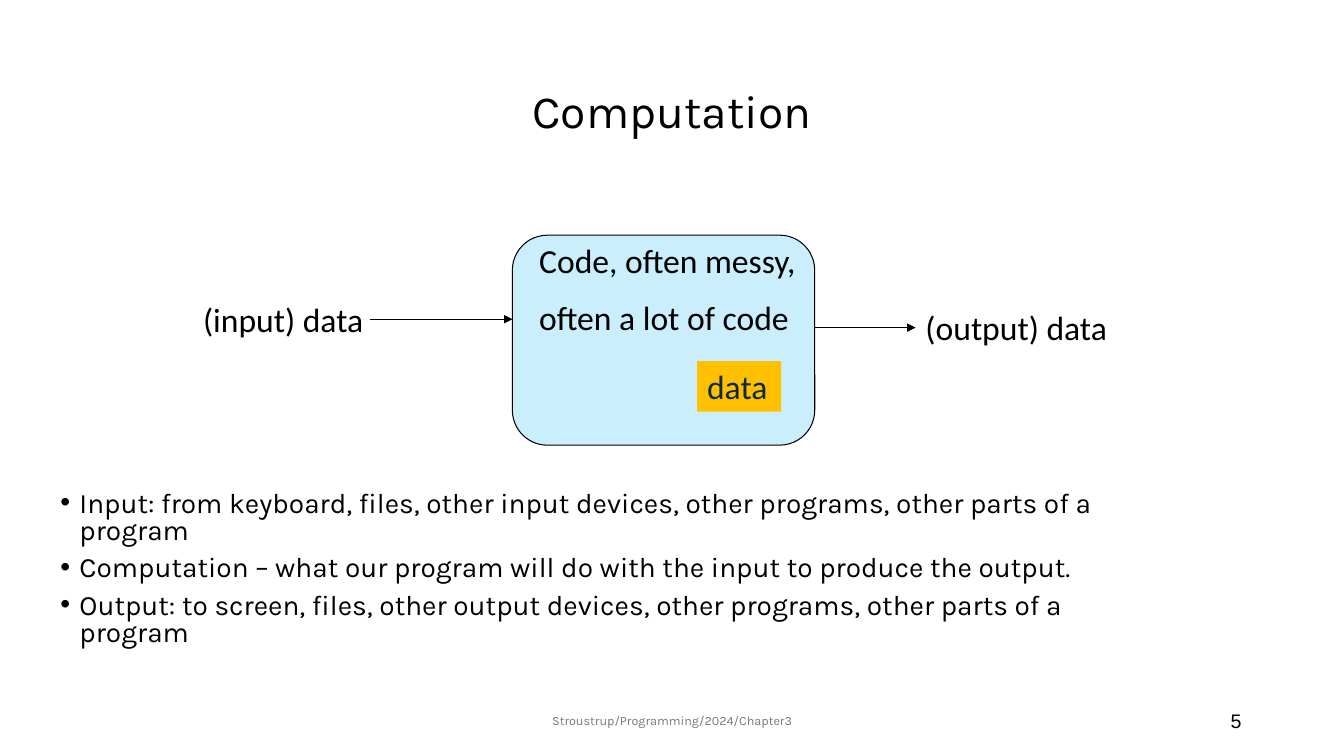
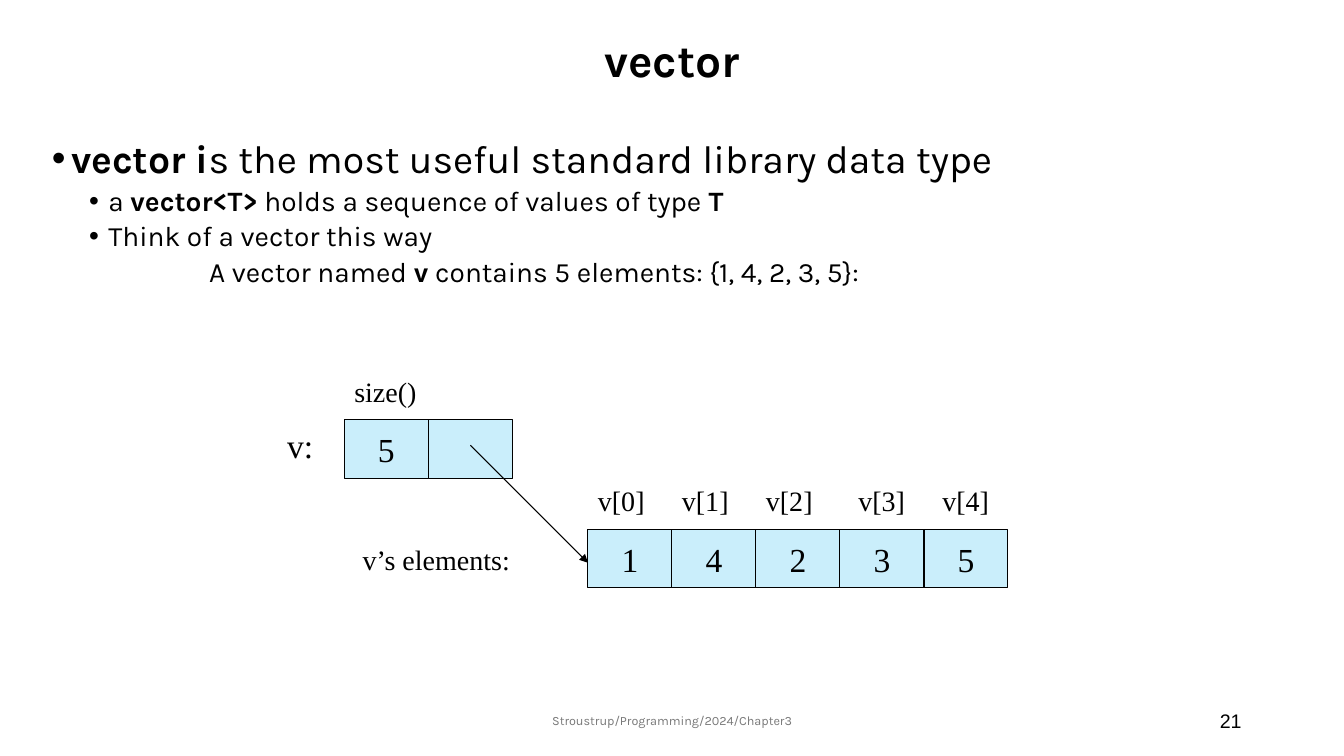
import pptx
import pptx.util
import pptx.dml.color
import pptx.enum.shapes
import pptx.enum.text
import pptx.oxml
import pptx.oxml.ns

Pt = pptx.util.Pt
RGBColor = pptx.dml.color.RGBColor
SHAPE = pptx.enum.shapes.MSO_SHAPE
STRAIGHT = pptx.enum.shapes.MSO_CONNECTOR.STRAIGHT
ALIGN = pptx.enum.text.PP_ALIGN
ANCHOR = pptx.enum.text.MSO_ANCHOR

BLACK = RGBColor(0x00, 0x00, 0x00)
GREY = RGBColor(0x79, 0x79, 0x79)
NAVY = RGBColor(0x0E, 0x28, 0x41)
SKY = RGBColor(0xCA, 0xEE, 0xFB)
AMBER = RGBColor(0xFF, 0xC0, 0x00)
KARLA, CALIBRI, TIMES, ARIAL = "Karla", "Calibri", "Times New Roman", "Arial"

# The slide is a grid of 160 columns and 90 rows, twelve to the inch
COLS, ROWS = 160, 90
FOOTER = "Stroustrup/Programming/2024/Chapter3"
FOOTER_BOX = (53, 83.4, 54, 4.8)
NUMBER_BOX = (113, 83.4, 36, 4.8)

# Paragraphs are lists of (text, bold) runs
COMPUTATION = {
    "title": ("Computation", False), "title_box": (11, 4.8, 138, 17.4), "number": "5",
    "body_box": (6, 58, 135, 19),
    "body": [
        ("top", 20, 0.8, [("Input: from keyboard, files, other input devices, other programs, "
                           "other parts of a program", False)]),
        ("top", 20, 0.8, [("Computation – what our program will do with the input to produce "
                           "the output.", False)]),
        ("top", 20, 0.8, [("Output: to screen, files, other output devices, other programs, "
                           "other parts of a program", False)]),
    ],
}
VECTOR = {
    "title": ("vector", True), "title_box": (29, 0, 102, 15), "number": "21",
    "body_box": (5, 16, 129, 25),
    "body": [
        ("top", 28, 0.9, [("vector i", True),
                          ("s the most useful standard library data type", False)]),
        ("sub", 20, 0.9, [("a ", False), ("vector<T>", True),
                          (" holds a sequence of values of type ", False), ("T", True)]),
        ("sub", 20, 0.9, [("Think of a vector this way", False)]),
        ("example", 20, 0.9, [("A vector named ", False), ("v", True),
                              (" contains 5 elements: {1, 4, 2, 3, 5}:", False)]),
    ],
}
# Level: left indent and hanging indent in inches, space before, bullet
LEVELS = {
    "top": (0.19, -0.19, 7.5, True),
    "sub": (0.56, -0.19, 3.8, True),
    "example": (1.56, 0, 3.8, False),
}

# Vector diagram
ELEMENTS = ["1", "4", "2", "3", "5"]
INDEX_LEFTS = [70, 80, 90, 101, 111]
CELL_W, CELL_H = 10, 7
HEADER_AT, ELEMENTS_AT = (41, 50), (70, 63)
VECTOR_LABELS = [
    ("v:", 24, (33, 50, 6, 6)),
    ("v’s elements:", 20, (42, 64, 23, 5.2)),
    ("size()", 20, (41, 44, 11, 5.2)),
] + [(f"v[{i}]", 20, (x, 57, 10, 5.2)) for i, x in enumerate(INDEX_LEFTS)]

prs = pptx.Presentation()
prs.slide_width = pptx.util.Inches(13.33)
prs.slide_height = pptx.util.Inches(7.5)


def grid(*units):
    """Turn alternating columns and rows into slide lengths."""
    steps = (prs.slide_width / COLS, prs.slide_height / ROWS)
    return [round(n * steps[i % 2]) for i, n in enumerate(units)]


def add_run(p, text, size, font, color=BLACK, bold=False):
    r = p.add_run()
    r.text = text
    r.font.size, r.font.name, r.font.bold = Pt(size), font, bold
    r.font.color.rgb = color


def add_text(s, box, lines, size, font, color=BLACK, bold=False,
             align=ALIGN.LEFT, anchor=ANCHOR.TOP):
    sp = s.shapes.add_textbox(*grid(*box))
    tf = sp.text_frame
    tf.word_wrap, tf.vertical_anchor = True, anchor
    for i, line in enumerate(lines):
        p = tf.add_paragraph() if i else tf.paragraphs[0]
        p.alignment = align
        if i:
            p.space_before = Pt(size / 2)
        add_run(p, line, size, font, color, bold)
    return sp


def add_box(s, box, fill, text="", font=TIMES, color=BLACK, outlined=True,
            kind=SHAPE.RECTANGLE, align=ALIGN.CENTER, anchor=ANCHOR.MIDDLE):
    sp = s.shapes.add_shape(kind, *grid(*box))
    sp.shadow.inherit = False
    sp.fill.solid()
    sp.fill.fore_color.rgb = fill
    if outlined:
        sp.line.color.rgb = BLACK
        sp.line.width = Pt(0.75)
    else:
        sp.line.fill.background()
    if text:
        tf = sp.text_frame
        tf.word_wrap, tf.vertical_anchor = False, anchor
        tf.paragraphs[0].alignment = align
        add_run(tf.paragraphs[0], text, 24, font, color)
    return sp


def add_arrow(s, start, end):
    line = s.shapes.add_connector(STRAIGHT, *grid(*start, *end))
    line.line.color.rgb = BLACK
    line.line.width = Pt(0.75)
    qn = pptx.oxml.ns.qn
    ln = line.line._get_or_add_ln()
    ln.append(ln.makeelement(qn("a:tailEnd"), {"type": "triangle"}))
    ln.addnext(ln.makeelement(qn("a:effectLst"), {}))
    return line


def add_body(s, box, body):
    tf = s.shapes.add_textbox(*grid(*box)).text_frame
    tf.word_wrap = True
    for i, (level, size, spacing, runs) in enumerate(body):
        left, hang, before, bullet = LEVELS[level]
        p = tf.add_paragraph() if i else tf.paragraphs[0]
        p.line_spacing, p.space_before = spacing, Pt(before)
        pPr = p._p.get_or_add_pPr()
        pPr.set("marL", str(pptx.util.Inches(left)))
        pPr.set("indent", str(pptx.util.Inches(hang)))
        if bullet:
            qn = pptx.oxml.ns.qn
            pPr.append(pPr.makeelement(qn("a:buFont"), {"typeface": ARIAL}))
            pPr.append(pPr.makeelement(qn("a:buChar"), {"char": "•"}))
        for text, bold in runs:
            add_run(p, text, size, KARLA, bold=bold)


def add_slide(content):
    """Title, body, footer and number, alike on every slide."""
    s = prs.slides.add_slide(prs.slide_layouts[6])
    title, bold = content["title"]
    sp = add_text(s, content["title_box"], [title], 33, KARLA, bold=bold,
                  align=ALIGN.CENTER, anchor=ANCHOR.MIDDLE)
    sp.text_frame.paragraphs[0].line_spacing = 0.9
    add_body(s, content["body_box"], content["body"])
    add_text(s, FOOTER_BOX, [FOOTER], 9, KARLA, GREY, align=ALIGN.CENTER, anchor=ANCHOR.MIDDLE)
    add_text(s, NUMBER_BOX, [content["number"]], 14, ARIAL,
             align=ALIGN.RIGHT, anchor=ANCHOR.MIDDLE)
    return s


def draw_computation():
    s = add_slide(COMPUTATION)
    add_box(s, (61, 28, 36, 25), SKY, kind=SHAPE.ROUNDED_RECTANGLE)
    add_text(s, (23, 35, 22, 6), ["(input) data"], 24, CALIBRI)
    output = add_text(s, (109, 36, 26, 6), ["(output) data"], 24, CALIBRI)
    add_arrow(s, (44, 38), (61, 38))
    add_arrow(s, (97, 39), (109, 39)).end_connect(output, 1)
    add_box(s, (83, 43, 10, 6), AMBER, "data", CALIBRI, NAVY, outlined=False,
            align=ALIGN.LEFT, anchor=ANCHOR.TOP)
    add_text(s, (63, 28, 60, 13.3), ["Code, often messy,", "often a lot of code"], 24, CALIBRI)


def draw_vector():
    s = add_slide(VECTOR)
    # Size and pointer, then the elements
    for (left, top), values in ((HEADER_AT, ["5", ""]), (ELEMENTS_AT, ELEMENTS)):
        for i, value in enumerate(values):
            add_box(s, (left + i * CELL_W, top, CELL_W, CELL_H), SKY, value)
    add_arrow(s, (56, 53), (70, 67))
    for text, size, box in VECTOR_LABELS:
        add_text(s, box, [text], size, TIMES)


def main():
    draw_computation()
    draw_vector()
    prs.save("out.pptx")


if __name__ == "__main__":
    main()
